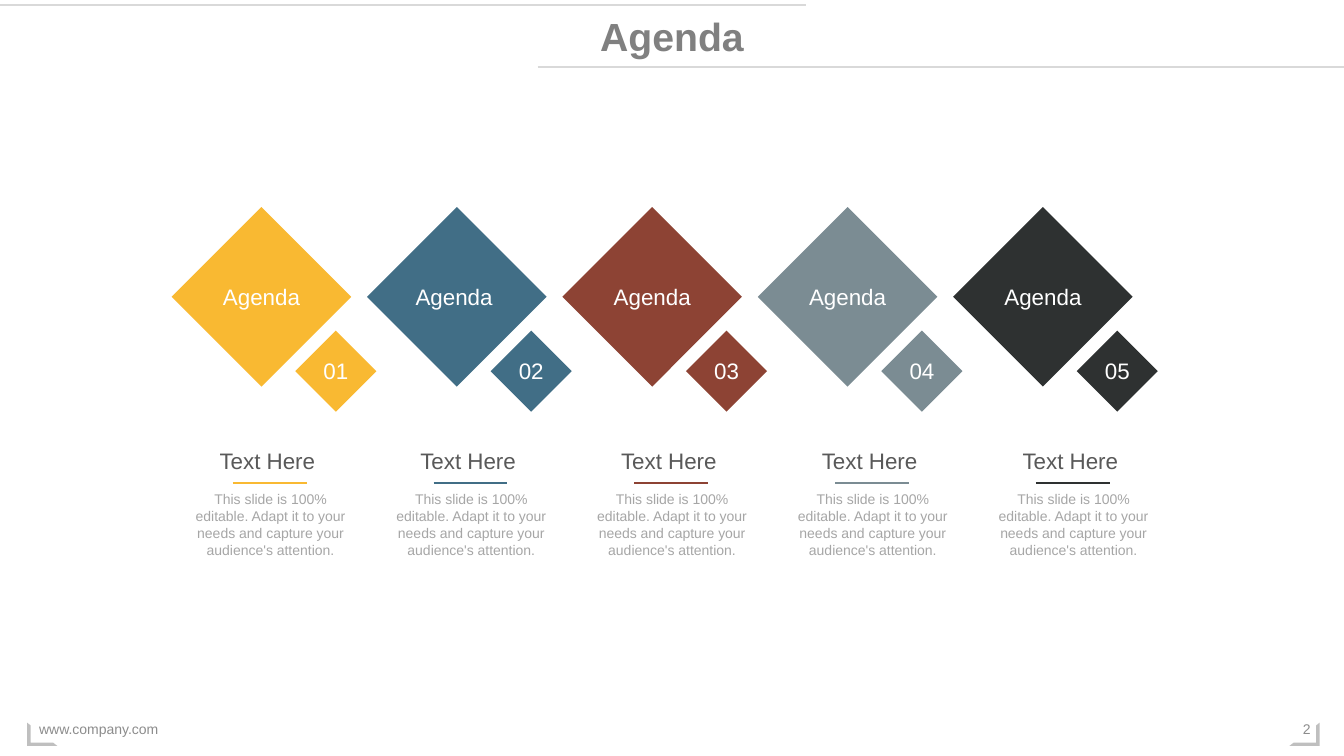
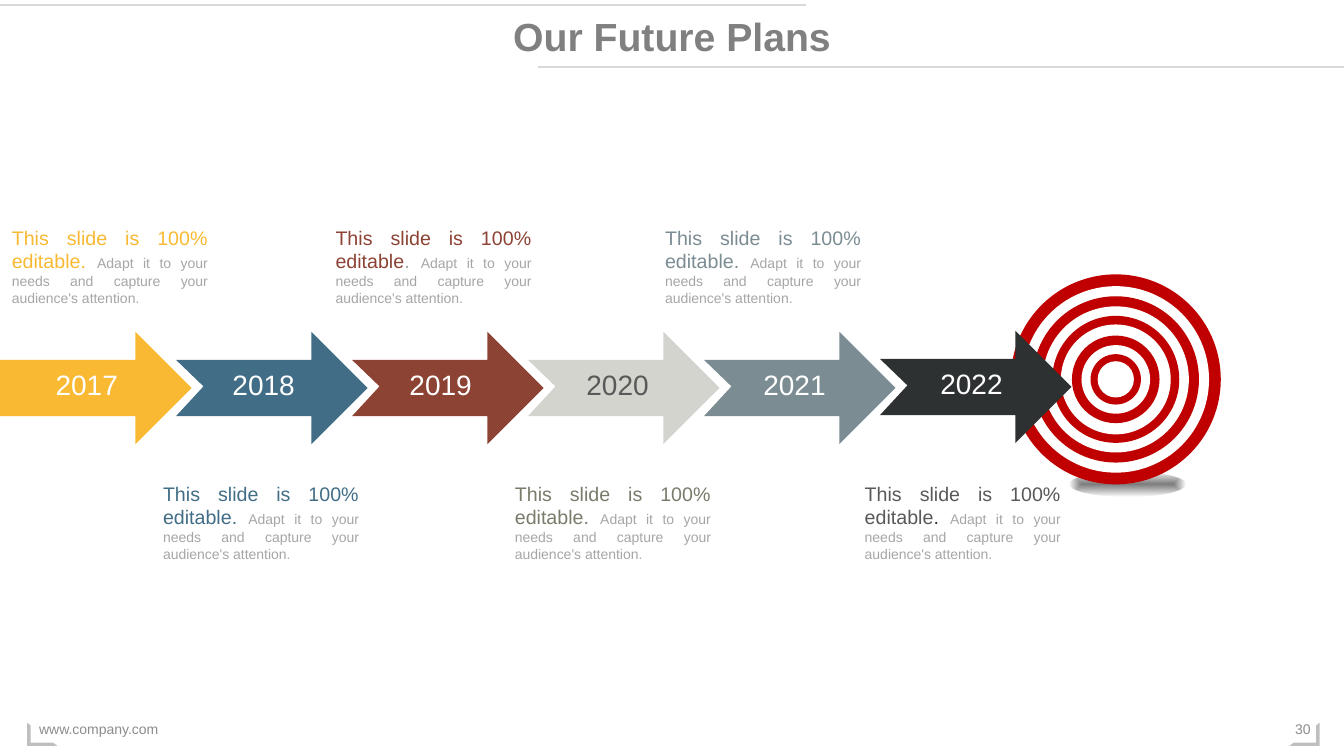
from dataclasses import dataclass
from typing import NamedTuple

from lxml import etree
from pptx import Presentation
from pptx import util as u
from pptx.dml.color import RGBColor
from pptx.enum import shapes as es, text as et
from pptx.oxml.ns import qn
from pptx.slide import Slide


@dataclass(frozen=True)
class Theme:
    font: str = "Arial"
    white: str = "FFFFFF"
    rule: str = "D9D9D9"
    corner: str = "BFBFBF"
    footer: str = "8C8C8C"
    title: str = "808080"
    heading: str = "595959"
    body: str = "A6A6A6"
    yellow: str = "F9B932"
    blue: str = "416E86"
    brown: str = "8D4334"
    stone: str = "D3D4CE"
    olive: str = "797B6B"
    slate: str = "7B8C93"
    black: str = "2E3131"
    red: str = "C00000"
    title_size: float = 28
    year_size: float = 20
    heading_size: float = 16
    lead_size: float = 14
    small_size: float = 10
    rule_width: float = 1.5


T = Theme()
WIDTH, HEIGHT = 960, 540
ALIGN = et.PP_ALIGN
SHAPE = es.MSO_SHAPE


class Box(NamedTuple):
    """Left, top, width and height in points."""
    x: float
    y: float
    w: float
    h: float

    def emu(self) -> list[u.Length]:
        return [u.Pt(v) for v in self]


def centred(cx: float, cy: float, size: float) -> Box:
    return Box(cx - size / 2, cy - size / 2, size, size)


@dataclass(frozen=True)
class AgendaItem:
    number: str
    color: str
    label_shift: float = 0


@dataclass(frozen=True)
class Milestone:
    year: str
    color: str
    note_x: float
    note_color: str
    stop_color: str
    year_color: str = T.white
    lift: float = 0


AGENDA = [
    AgendaItem("01", T.yellow),
    AgendaItem("02", T.blue, label_shift=-2),
    AgendaItem("03", T.brown),
    AgendaItem("04", T.slate),
    AgendaItem("05", T.black),
]

MILESTONES = [
    Milestone("2017", T.yellow, 1.4, T.yellow, T.yellow),
    Milestone("2018", T.blue, 109.4, T.blue, T.blue),
    Milestone("2019", T.brown, 232.6, T.brown, T.body),
    Milestone("2020", T.stone, 360.7, T.olive, T.olive, year_color=T.heading),
    Milestone("2021", T.slate, 468, T.slate, T.slate),
    Milestone("2022", T.black, 610.6, T.heading, T.black, lift=0.7),
]

RING_DIAMETERS = [150, 133.2, 118.8, 104.4, 90.7, 78.5, 62.6, 49, 36, 25.9]
# The last point is the notch in the tail.
ARROW = [(0, 20), (96.8, 20), (96.8, 0), (136.9, 40.1), (96.8, 80.2),
         (96.8, 60.3), (0, 60.3), (19.7, 39)]


def add_run(p, text: str, *, size: float, color: str, bold: bool = False) -> None:
    r = p.add_run()
    r.text = text
    r.font.name = T.font
    r.font.size = u.Pt(size)
    r.font.bold = bold
    r.font.color.rgb = RGBColor.from_string(color)


def add_text(s: Slide, box: Box, text: str, *, size: float, color: str,
             bold: bool = False, align=ALIGN.CENTER,
             anchor=et.MSO_ANCHOR.TOP, wrap: bool = True):
    """Add a text box and return its paragraph, so that runs can follow."""
    tf = s.shapes.add_textbox(*box.emu()).text_frame
    tf.word_wrap = wrap
    tf.vertical_anchor = anchor
    p = tf.paragraphs[0]
    p.alignment = align
    add_run(p, text, size=size, color=color, bold=bold)
    return p


def paint(sp, color: str):
    sp.shadow.inherit = False
    sp.fill.solid()
    sp.fill.fore_color.rgb = RGBColor.from_string(color)
    sp.line.fill.background()
    return sp


def add_shape(s: Slide, kind, box: Box, color: str, rotation: float = 0):
    sp = paint(s.shapes.add_shape(kind, *box.emu()), color)
    sp.rotation = rotation
    return sp


def add_rule(s: Slide, x1: float, x2: float, y: float, color: str) -> None:
    ln = s.shapes.add_connector(es.MSO_CONNECTOR.STRAIGHT,
                                u.Pt(x1), u.Pt(y), u.Pt(x2), u.Pt(y))
    ln.line.color.rgb = RGBColor.from_string(color)
    ln.line.width = u.Pt(T.rule_width)
    etree.SubElement(ln._element.spPr, qn("a:effectLst"))


def add_frame(s: Slide, x: float, flip: bool) -> None:
    """Draw the bracket in a bottom corner of the slide."""
    sp = add_shape(s, SHAPE.HALF_FRAME, Box(x, 516.2, 21.6, 16.6), T.corner, 180)
    sp.adjustments[0] = 0.14
    sp.adjustments[1] = 0.15
    if flip:
        sp._element.spPr.find(qn("a:xfrm")).set("flipH", "1")


def new_slide(prs, title: str, number: str) -> Slide:
    s = prs.slides.add_slide(prs.slide_layouts[6])
    add_rule(s, 0, 576, 3.6, T.rule)
    add_rule(s, WIDTH - 576, WIDTH, 48, T.rule)
    add_frame(s, 921, flip=False)
    add_frame(s, 19.4, flip=True)
    for box, text, align in (
        (Box(20.9, 506.2, 324, 28.8), "www.company.com", ALIGN.LEFT),
        (Box(913, 506.2, 30.2, 28.8), number, ALIGN.RIGHT),
    ):
        add_text(s, box, text, size=T.small_size, color=T.footer, align=align,
                 anchor=et.MSO_ANCHOR.MIDDLE)
    add_text(s, Box(0, 5, WIDTH, 41), title, size=T.title_size, color=T.title,
             bold=True)
    return s


def add_agenda_item(s: Slide, i: int, item: AgendaItem) -> None:
    cx = 186.8 + 139.55 * i
    for x, y, side, text, shift in (
        (cx + 53.1, 265.1, 41, item.number, 0),
        (cx, 212, 90.7, "Agenda", item.label_shift),
    ):
        add_shape(s, SHAPE.RECTANGLE, centred(x, y, side), item.color, 315)
        add_text(s, Box(x - 35 + shift, y - 13.3, 70, 26.6), text,
                 size=T.heading_size, color=T.white, wrap=False)

    mid = 193.2 + 143.4 * i
    add_text(s, Box(mid - 50, 316.1, 100, 26.6), "Text Here ",
             size=T.heading_size, color=T.heading)
    add_rule(s, mid - 26.8, mid + 25.8, 344.9, item.color)
    add_text(s, Box(mid - 62.3, 347, 124.6, 55.4),
             "This slide is 100% editable. Adapt it to your needs and "
             "capture your audience's attention.",
             size=T.small_size, color=T.body)


def add_soft_shadow(s: Slide, box: Box) -> None:
    sp = add_shape(s, SHAPE.OVAL, box, T.black)
    grad = etree.Element(qn("a:gradFill"), rotWithShape="1")
    stops = etree.SubElement(grad, qn("a:gsLst"))
    for pos, color, alpha in ((0, "0D0D0D", 54), (100, "000000", 0)):
        gs = etree.SubElement(stops, qn("a:gs"), pos=str(pos * 1000))
        clr = etree.SubElement(gs, qn("a:srgbClr"), val=color)
        etree.SubElement(clr, qn("a:alpha"), val=str(alpha * 1000))
    shade = etree.SubElement(grad, qn("a:path"), path="shape")
    etree.SubElement(shade, qn("a:fillToRect"),
                     dict.fromkeys("ltrb", "50000"))
    spPr = sp._element.spPr
    spPr.replace(spPr.find(qn("a:solidFill")), grad)


def add_target(s: Slide, cx: float, cy: float) -> None:
    add_soft_shadow(s, Box(764, 337, 82.8, 18))
    for i, diameter in enumerate(RING_DIAMETERS):
        add_shape(s, SHAPE.OVAL, centred(cx, cy, diameter),
                  T.white if i % 2 else T.red)


def add_milestone(s: Slide, i: int, m: Milestone) -> None:
    outline = ARROW if i else ARROW[:-1]
    x, y = 125.7 * i, 237 - m.lift
    points = [(u.Pt(x + dx), u.Pt(y + dy)) for dx, dy in outline]
    fb = s.shapes.build_freeform(*points[0])
    fb.add_line_segments(points[1:], close=True)
    paint(fb.convert_to_shape(), m.color)
    add_text(s, Box(2.2 + 126.4 * i, y + 22.2, 119.5, 35), m.year,
             size=T.year_size, color=m.year_color)

    note_y = 340.6 if i % 2 else 157.7
    p = add_text(s, Box(m.note_x, note_y, 154.1, 65.5),
                 "This slide is 100% editable", size=T.lead_size,
                 color=m.note_color, align=ALIGN.JUSTIFY)
    add_run(p, ". ", size=T.lead_size, color=m.stop_color)
    add_run(p, "Adapt it to your needs and capture your audience's attention. ",
            size=T.small_size, color=T.body)


def main() -> None:
    prs = Presentation()
    prs.slide_width, prs.slide_height = u.Pt(WIDTH), u.Pt(HEIGHT)

    s = new_slide(prs, "Agenda", "2")
    for i, item in enumerate(AGENDA):
        add_agenda_item(s, i, item)

    s = new_slide(prs, "Our Future Plans", "30")
    add_target(s, 797, 271)
    for i, milestone in enumerate(MILESTONES):
        add_milestone(s, i, milestone)

    prs.save("out.pptx")


if __name__ == "__main__":
    main()
